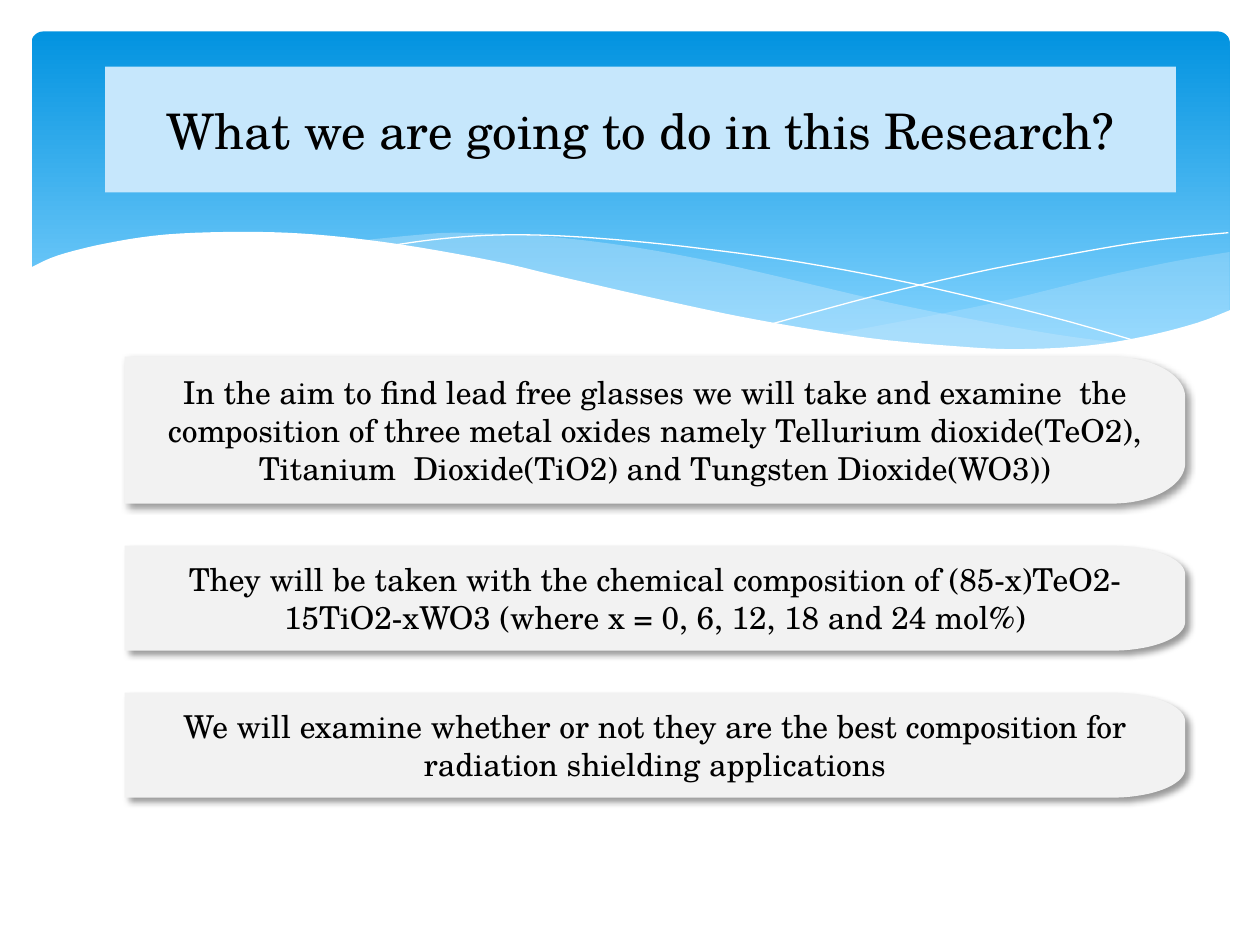
import math

import lxml.etree
import pptx
import pptx.dml.color
import pptx.enum.shapes
import pptx.enum.text
import pptx.oxml.ns
import pptx.util

Pt = pptx.util.Pt
FONT = "TeX Gyre Schola"

TITLE = "What we are going to do in this Research?"
STEPS = [
    ("In the aim to find lead free glasses we will take and examine  the composition of "
     "three metal oxides namely Tellurium dioxide(TeO2), Titanium  Dioxide(TiO2) and "
     "Tungsten Dioxide(WO3))", 84),
    ("They will be taken with the chemical composition of (85-x)TeO2-15TiO2-xWO3 "
     "(where x = 0, 6, 12, 18 and 24 mol%)", 60),
    ("We will examine whether or not they are the best composition for radiation "
     "shielding applications", 60),
]

# Wave edges, in points from the top left corner of the banner
RIGHT_TOP = [(684.7, 126), (655, 131), (623.5, 137.5), (602, 142.5), (561.5, 152.5),
             (524, 160.5), (458, 173)]
RIGHT_BOTTOM = [(458, 173), (489.5, 177), (527, 180.5), (568, 182), (610, 179.5),
                (645, 173), (665.5, 167), (684.7, 160)]
MIDDLE_TOP = [(625, 178.5), (584.5, 173), (540, 165), (490.5, 155), (435, 142),
              (391.5, 132), (352, 124.5), (317, 119.5), (284.5, 116.5), (242, 115),
              (218, 116.5), (188, 119.5)]
MIDDLE_BOTTOM = [(188, 119.5), (228, 125.5), (273, 134), (305.5, 142), (363.5, 155),
                 (414.5, 165.5), (471.5, 175), (520.5, 180.5), (563, 182), (599, 181.5),
                 (625, 178.5)]
FALLING_LINE = [(204.5, 122.5), (229.5, 119), (260.5, 116.5), (294, 116.5), (334, 119),
                (382.5, 124), (440, 132), (505.5, 144.5), (580.5, 162.5), (635, 178)]
RISING_LINE = [(423.5, 167), (482.5, 151), (540.5, 137.5), (584, 129), (626.5, 121.5),
               (657.5, 117.5), (684, 115)]
FRONT_EDGE = [(-1.4, 135.4), (15, 128), (43, 121), (77, 116), (121, 114.5), (162, 116),
              (209.5, 121.5), (263.5, 131), (304, 140.5), (363, 154), (416, 165),
              (477.5, 175), (530, 180), (564.5, 181.5), (603.5, 179.5), (637, 174),
              (666, 166.5), (685.4, 159)]


def color(hex_value):
    return pptx.dml.color.RGBColor.from_string(hex_value)


def add_xml(parent, tag, **attributes):
    return lxml.etree.SubElement(parent, pptx.oxml.ns.qn(tag), attributes)


def smooth(points, steps=5):
    """Catmull-Rom curve through the points."""
    padded = [points[0], *points, points[-1]]
    curve = []
    for p0, p1, p2, p3 in zip(padded, padded[1:], padded[2:], padded[3:]):
        for step in range(steps):
            t = step / steps
            curve.append(tuple(
                b + t * (c - a) / 2 + t ** 2 * (a - 2.5 * b + 2 * c - d / 2)
                + t ** 3 * (1.5 * (b - c) + (d - a) / 2)
                for a, b, c, d in zip(p0, p1, p2, p3)))
    return curve + [points[-1]]


def add_outline(slide, left, top, points, fill=None, alpha=None):
    """Closed filled area, or an open white hairline when there is no fill."""
    corners = [(Pt(left + x), Pt(top + y)) for x, y in points]
    builder = slide.shapes.build_freeform(*corners[0])
    builder.add_line_segments(corners[1:], close=fill is not None)
    shape = builder.convert_to_shape()
    shape.shadow.inherit = False
    if fill is None:
        shape.fill.background()
        shape.line.color.rgb = color("FFFFFF")
        shape.line.width = Pt(0)
        return shape
    shape.fill.solid()
    shape.fill.fore_color.rgb = color(fill)
    shape.line.fill.background()
    if alpha is not None:
        srgb = shape.element.spPr.find(".//" + pptx.oxml.ns.qn("a:srgbClr"))
        add_xml(srgb, "a:alpha", val=str(alpha * 1000))
    return shape


def rounded_right(width, height, rx, ry):
    """Rectangle outline with elliptical corners on its right side."""
    points = [(0, 0)]
    for corner_y, start in ((ry, -90), (height - ry, 0)):
        for degrees in range(start, start + 91, 5):
            angle = math.radians(degrees)
            points.append((width - rx + rx * math.cos(angle), corner_y + ry * math.sin(angle)))
    return points + [(0, height)]


def write_text(shape, text, size):
    frame = shape.text_frame
    frame.text = text
    frame.word_wrap = True
    frame.auto_size = pptx.enum.text.MSO_AUTO_SIZE.NONE
    frame.vertical_anchor = pptx.enum.text.MSO_ANCHOR.MIDDLE
    paragraph = frame.paragraphs[0]
    paragraph.alignment = pptx.enum.text.PP_ALIGN.CENTER
    font = paragraph.runs[0].font
    font.name = FONT
    font.size = Pt(size)
    font.color.rgb = color("000000")


def add_banner(slide, left, top, width, height):
    sky = slide.shapes.add_shape(pptx.enum.shapes.MSO_SHAPE.ROUNDED_RECTANGLE,
                                 Pt(left), Pt(top), Pt(width), Pt(height))
    sky.adjustments[0] = 0.034
    sky.shadow.inherit = False
    sky.line.fill.background()
    sky.fill.gradient()
    sky.fill.gradient_angle = 270
    for stop, hex_value, position in zip(sky.fill.gradient_stops, ("0293E0", "83D3FE"), (0, 0.9)):
        stop.color.rgb = color(hex_value)
        stop.position = position
    add_outline(slide, left, top, smooth(RIGHT_TOP) + smooth(RIGHT_BOTTOM), "C6E7FC", 29)
    add_outline(slide, left, top, smooth(MIDDLE_TOP) + smooth(MIDDLE_BOTTOM), "C6E7FC", 40)
    for ribbon in (FALLING_LINE, RISING_LINE):
        add_outline(slide, left, top, smooth(ribbon))
    front_bottom = [(685.4, 219), (-1.4, 219)]
    add_outline(slide, left, top, smooth(FRONT_EDGE) + front_bottom, "FFFFFF")


def place_title(slide, left, top, width, height):
    """Give the title placeholder a panel rounded on the left and bring it to the front."""
    outline = [(width - x, y) for x, y in rounded_right(width, height, 98, 0.27 * height)]
    panel = add_outline(slide, left, top, outline, "C6E7FC")
    title = slide.shapes.title
    title.element.replace(title.element.spPr, panel.element.spPr)
    slide.shapes.element.remove(panel.element)
    slide.shapes.element.append(title.element)
    write_text(title, TITLE, 28)


def add_steps(slide, left, top, width, gap):
    for text, height in STEPS:
        outline = rounded_right(width, height, 42, 0.275 * height)
        card = add_outline(slide, left, top, outline, "F2F2F2")
        effects = card.element.spPr.find(pptx.oxml.ns.qn("a:effectLst"))
        shadow = add_xml(effects, "a:outerShdw", blurRad=str(Pt(4)), dist=str(Pt(3)),
                         dir=str(45 * 60000), algn="tl", rotWithShape="0")
        add_xml(add_xml(shadow, "a:srgbClr", val="000000"), "a:alpha", val="40000")
        write_text(card, text, 18)
        top += height + gap


def main():
    presentation = pptx.Presentation()
    presentation.slide_width, presentation.slide_height = Pt(720), Pt(540)
    slide = presentation.slides.add_slide(presentation.slide_layouts[5])
    add_banner(slide, 18, 18, 684.7, 194.4)
    place_title(slide, 60, 38, 612, 72)
    add_steps(slide, 71.3, 203.8, 606, 24)
    presentation.save("out.pptx")


if __name__ == "__main__":
    main()
